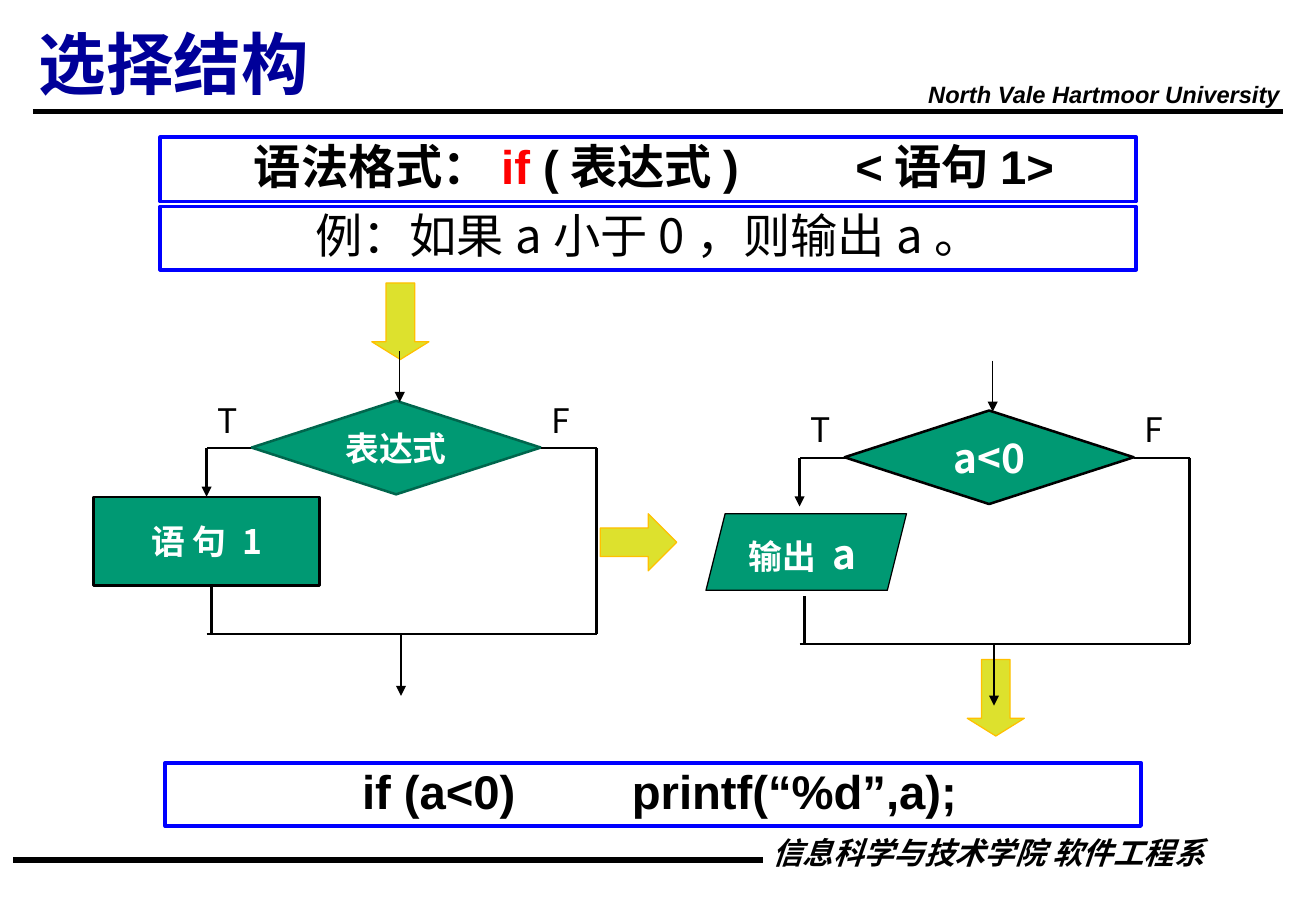
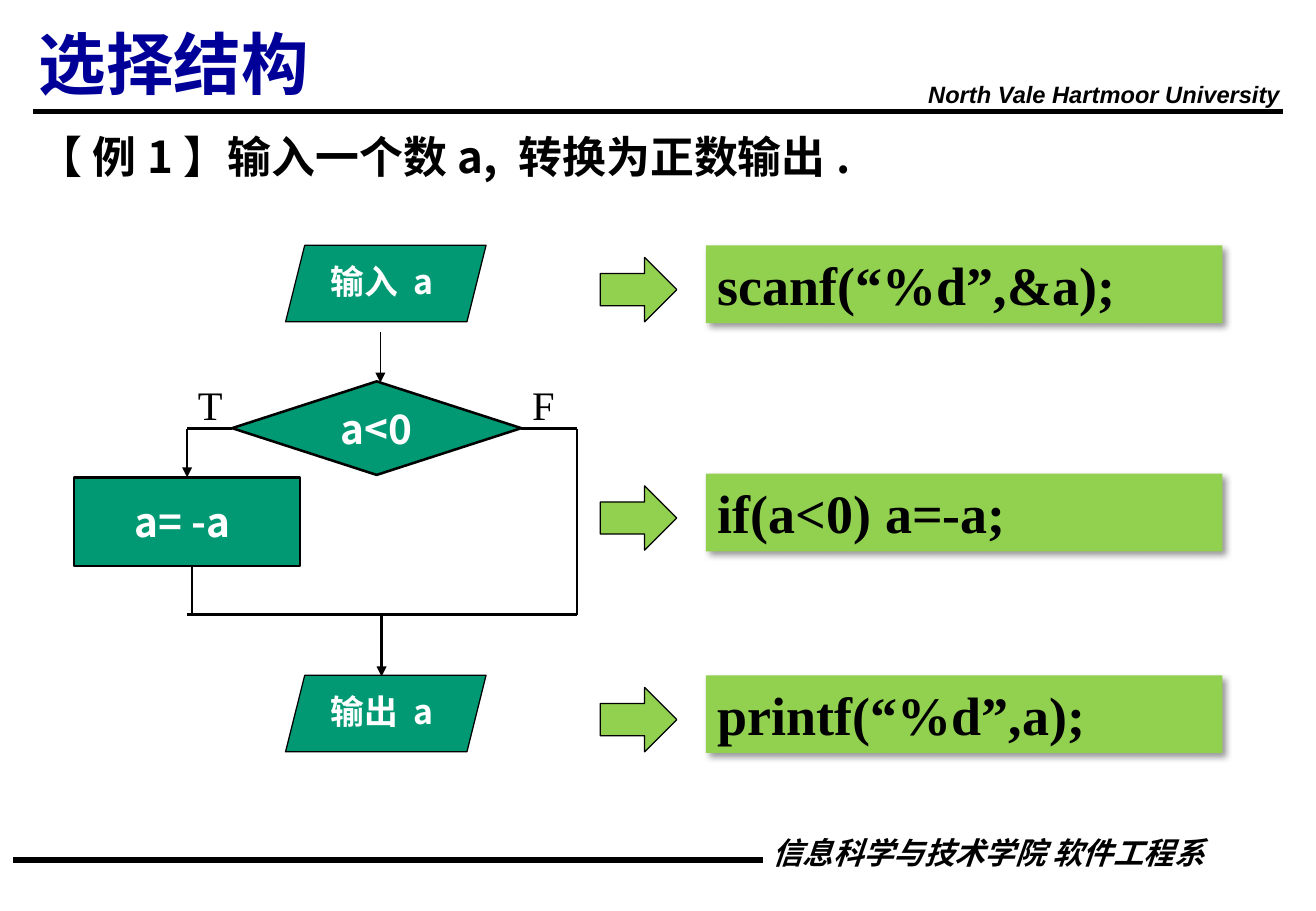
from lxml import etree
from pptx import Presentation
from pptx import util as u
from pptx.dml import color
from pptx.enum import shapes, text
from pptx.oxml import ns

COLOURS = {
    "ink": "000000", "white": "FFFFFF", "title": "000099", "keyword": "FF0000",
    "frame": "0000FF", "node": "009973", "node_edge": "00664D",
    "arrow": "DDE12D", "arrow_edge": "FFC000", "code": "92D050",
}
SANS, SANS_JP, SERIF, LATIN = (
    "Noto Sans CJK SC", "Noto Sans CJK JP", "Times New Roman", "Arial")
KINDS = shapes.MSO_SHAPE
CENTRE, RIGHT = text.PP_ALIGN.CENTER, text.PP_ALIGN.RIGHT
MIDDLE, TOP = text.MSO_ANCHOR.MIDDLE, text.MSO_ANCHOR.TOP
NODE_FONT = {"name": SANS, "size": 20, "bold": True, "colour": "white"}
CODE_FONT = {"name": SERIF, "size": 32, "bold": True}
FORMULA_FONT = {"name": LATIN, "size": 28, "bold": True}


def rgb(name):
    """Return the named colour."""
    return color.RGBColor.from_string(COLOURS[name])


def format_run(run, font):
    """Apply a dict of font values, for Latin and East Asian letters alike."""
    values = {"size": 20, "colour": "ink", **font}
    run.font.color.rgb = rgb(values.pop("colour"))
    values["size"] = u.Pt(values["size"])
    for key, value in values.items():
        setattr(run.font, key, value)
    name = values["name"]
    east_asian = etree.SubElement(run.font._element, ns.qn("a:ea"))
    east_asian.set("typeface", name if name.startswith("Noto") else SANS)


def write(shape, pieces, font, align=None, spacing=None, **frame_values):
    """Write one paragraph; pieces is a string or (string, font changes) pairs."""
    frame = shape.text_frame
    for key, value in {"word_wrap": True, "vertical_anchor": TOP, **frame_values}.items():
        setattr(frame, key, value)
    paragraph = frame.paragraphs[0]
    paragraph.alignment = align or text.PP_ALIGN.LEFT
    if spacing:
        paragraph.line_spacing = spacing
    for words, changes in [(pieces, {})] if isinstance(pieces, str) else pieces:
        run = paragraph.add_run()
        run.text = words
        format_run(run, {**font, **changes})
    return paragraph


def add_label(slide, box, pieces, font, **options):
    """Add a text box."""
    label = slide.shapes.add_textbox(*map(u.Inches, box))
    write(label, pieces, font, **options)


def add_node(slide, kind, box, fill=None, edge=None, weight=1.5):
    """Add a preset shape with its fill and outline."""
    shape = slide.shapes.add_shape(kind, *map(u.Inches, box))
    shape.shadow.inherit = False
    if fill:
        shape.fill.solid()
        shape.fill.fore_color.rgb = rgb(fill)
    else:
        shape.fill.background()
    if edge:
        shape.line.color.rgb = rgb(edge)
        shape.line.width = u.Pt(weight)
    else:
        shape.line.fill.background()
    return shape


def add_line(slide, start, end, weight=1.5, arrow=False):
    """Add a straight black line, optionally with an arrowhead at its end."""
    line = slide.shapes.add_connector(
        shapes.MSO_CONNECTOR.STRAIGHT, *map(u.Inches, (*start, *end)))
    line.line.color.rgb = rgb("ink")
    line.line.width = u.Pt(weight)
    if arrow:
        outline = line.line._get_or_add_ln()
        etree.SubElement(outline, ns.qn("a:tailEnd"), type="triangle")
    etree.SubElement(line._element.spPr, ns.qn("a:effectLst"))


def add_block_arrow(slide, box, fill, edge, rotation=0, head=0.5):
    """Add a block arrow pointing right, or down when rotated."""
    arrow = add_node(slide, KINDS.RIGHT_ARROW, box, fill, edge, 0.75)
    arrow.adjustments[1] = head
    arrow.rotation = rotation


def add_page(presentation):
    """Add a slide with the shared title, rules and footers."""
    slide = presentation.slides.add_slide(presentation.slide_layouts[6])
    credit = {"name": LATIN, "size": 14, "bold": True, "italic": True}
    add_line(slide, (0.27, 0.92), (10.56, 0.92), 3)
    add_label(slide, (7.54, 0.67, 3.29, 0.27), "North Vale Hartmoor University",
              credit, spacing=0.7)
    add_line(slide, (0.11, 7.08), (6.28, 7.08), 3)
    add_label(slide, (5.26, 6.9, 4.75, 0.31), "信息科学与技术学院 软件工程系",
              {**credit, "name": SANS, "size": 18}, align=RIGHT, spacing=0.7)
    add_label(slide, (0.22, 0.13, 9.21, 0.79), "选择结构",
              {"name": SERIF, "size": 40, "bold": True, "colour": "title"})
    return slide


def add_framed_row(slide, box, pieces, font, inset=None, tab=None):
    """Add a blue frame, centred or with an inset and one tab stop."""
    frame = add_node(slide, KINDS.RECTANGLE, box, edge="frame", weight=2.25)
    if inset is None:
        write(frame, pieces, font, align=CENTRE, spacing=0.9)
        return
    paragraph = write(frame, pieces, font, spacing=0.9, margin_left=u.Inches(inset))
    stops = etree.SubElement(paragraph._p.get_or_add_pPr(), ns.qn("a:tabLst"))
    etree.SubElement(stops, ns.qn("a:tab"), pos=str(u.Inches(tab)), algn="l")


def add_data_node(slide, left, top, pieces, font):
    """Add an input or output parallelogram."""
    node = add_node(slide, KINDS.PARALLELOGRAM, (left, top, 1.65, 0.63),
                    "node", "ink", 0.75)
    write(node, pieces, font, align=CENTRE)


def add_branch(slide, left, top, condition, font, label_font, edge="ink"):
    """Add a decision at left, top with its true and false paths."""
    def at(x, y):
        return left + x, top + y

    true_x, false_x, side_y, join_y = -0.37, 2.84, 0.39, 1.92
    add_line(slide, at(true_x, join_y), at(false_x, join_y))
    decision = add_node(slide, KINDS.FLOWCHART_DECISION, (left, top, 2.38, 0.77),
                        "node", edge)
    write(decision, condition, font, align=CENTRE, vertical_anchor=MIDDLE,
          word_wrap=False)
    add_line(slide, at(0, side_y), at(true_x, side_y))
    add_line(slide, at(true_x, side_y), at(true_x, 0.79), arrow=True)
    add_line(slide, at(2.38, side_y), at(false_x, side_y))
    add_line(slide, at(false_x, side_y), at(false_x, join_y))
    add_line(slide, at(-0.33, 1.53), at(-0.33, 1.93))
    add_line(slide, at(1.23, join_y), at(1.23, 2.43), arrow=True)
    add_line(slide, at(1.22, -0.41), at(1.22, 0.01), 0.75, arrow=True)
    for letter, x in (("T", -0.38), ("F", 2.37)):
        add_label(slide, (*at(x, -0.06), 0.42, 0.44), letter, label_font)


def add_process(slide, left, top, words, font):
    """Add the process box of the branch whose decision is at left, top."""
    process = add_node(slide, KINDS.RECTANGLE, (left - 1.3, top + 0.79, 1.86, 0.73),
                       "node", "ink")
    write(process, words, font, align=CENTRE, vertical_anchor=MIDDLE, word_wrap=False)


def add_code_step(slide, top, code):
    """Add a green arrow and the shadowed code box it points to."""
    add_block_arrow(slide, (4.94, top + 0.1, 0.63, 0.53), "code", "ink")
    box = add_node(slide, KINDS.RECTANGLE, (5.81, top, 4.25, 0.64), "code")
    effects = box._element.spPr.find(ns.qn("a:effectLst"))
    shadow = etree.SubElement(
        effects, ns.qn("a:outerShdw"), blurRad=str(u.Pt(4)), dist=str(u.Pt(3)),
        dir=str(45 * 60000), algn="tl", rotWithShape="0")
    tint = etree.SubElement(shadow, ns.qn("a:srgbClr"), val=COLOURS["ink"])
    etree.SubElement(tint, ns.qn("a:alpha"), val="40000")
    write(box, code, CODE_FONT)


def build_syntax_slide(presentation):
    """Build the slide that turns the if syntax into an example."""
    slide = add_page(presentation)
    syntax = [("语法格式：", {}), ("if ", {"colour": "keyword"}),
              ("(表达式)\t<语句1>", {})]
    add_framed_row(slide, (1.32, 1.13, 8.03, 0.53), syntax, FORMULA_FONT, 0.77, 4.95)
    add_framed_row(slide, (1.32, 1.7, 8.03, 0.52), "例：如果a小于0，则输出a。",
                   {"name": SANS, "size": 28})
    add_framed_row(slide, (1.36, 6.28, 8.03, 0.52), "if (a<0)\tprintf(“%d”,a);",
                   FORMULA_FONT, 1.62, 2.22)
    for left, top, rotation, head in (
            (4.94, 4.23, 0, 0.5), (7.88, 5.51, 90, 0.31), (2.98, 2.41, 90, 0.31)):
        add_block_arrow(slide, (left, top, 0.63, 0.47), "arrow", "arrow_edge",
                        rotation, head)
    label_font = {"name": SANS}
    large = {**NODE_FONT, "size": 24}
    add_branch(slide, 2.07, 3.3, "表达式", NODE_FONT, label_font, "node_edge")
    add_process(slide, 2.07, 3.3, "语 句 1", NODE_FONT)
    add_branch(slide, 6.95, 3.38, "a<0", large, label_font)
    add_data_node(slide, 5.81, 4.23,
                  [("输出 ", {}), ("a", {"size": 24}), (" ", {})], NODE_FONT)


def build_example_slide(presentation):
    """Build the slide that matches a flowchart with its code."""
    slide = add_page(presentation)
    add_label(slide, (0.22, 1.02, 10, 0.54), "【 例1】输入一个数a, 转换为正数输出.",
              {"name": SANS, "size": 26, "bold": True})
    node_font = {**NODE_FONT, "name": SANS_JP}
    large = {**node_font, "size": 24}
    add_branch(slide, 1.91, 3.14, "a<0", large, {"name": SERIF, "size": 24})
    add_process(slide, 1.91, 3.14, "a= -a ", large)
    for top, words in ((2.02, "输入 a "), (5.56, "输出 a ")):
        add_data_node(slide, 2.35, top, words, node_font)
    for top, code in ((2.02, "scanf(“%d”,&a);"), (3.9, "if(a<0) a=-a;"),
                      (5.56, "printf(“%d”,a);")):
        add_code_step(slide, top, code)


presentation = Presentation()
presentation.slide_width, presentation.slide_height = u.Inches(10.83), u.Inches(7.5)
build_syntax_slide(presentation)
build_example_slide(presentation)
presentation.save("out.pptx")
